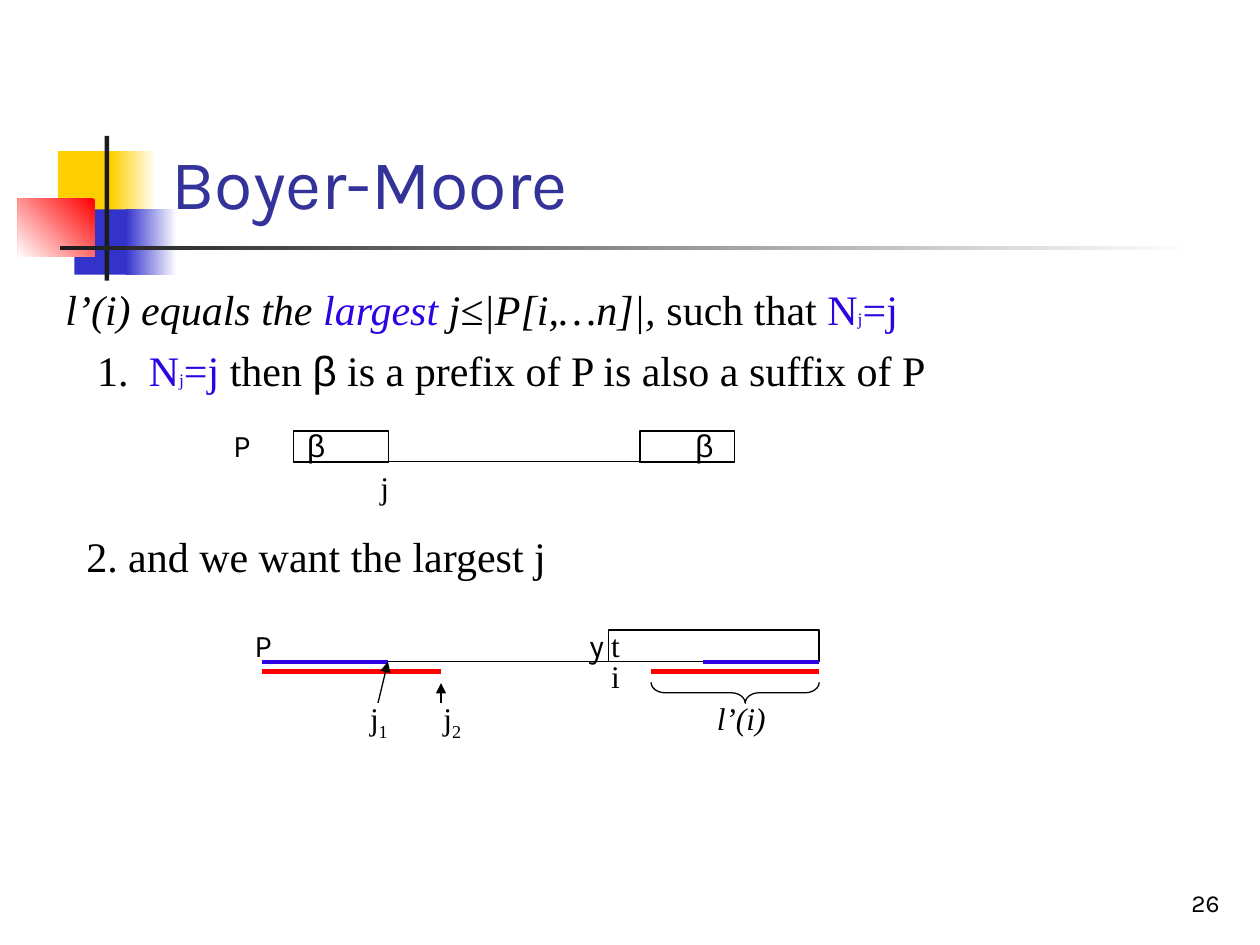
from pptx import Presentation
from pptx.dml.color import RGBColor
from pptx.enum.shapes import MSO_CONNECTOR, MSO_SHAPE as Shape
from pptx.enum.text import MSO_ANCHOR as Anchor, PP_ALIGN as Align
from pptx.oxml.ns import qn
from pptx.util import Cm, Pt
from lxml.etree import SubElement

BLACK = RGBColor(0x00, 0x00, 0x00)
WHITE = RGBColor(0xFF, 0xFF, 0xFF)
CHARCOAL = RGBColor(0x1C, 0x1C, 0x1C)
YELLOW = RGBColor(0xFF, 0xCF, 0x01)
BLUE = RGBColor(0x33, 0x33, 0xCC)
RED = RGBColor(0xFF, 0x00, 0x00)
TITLE_BLUE = RGBColor(0x33, 0x33, 0x99)
VIOLET = RGBColor(0x2D, 0x03, 0xE1)

SERIF, SANS, GREEK = "Times New Roman", "Karla", "Arial"
MARKED = {"color": VIOLET}
SMALL = {"color": VIOLET, "size": Pt(10)}


class SlideBuilder:
    def __init__(self, slide):
        self.slide = slide
        self.style = {"name": SERIF, "size": Pt(18), "color": BLACK}

    def place(self, shape, left, top, width, height):
        for side, length in zip(("left", "top", "width", "height"),
                                (left, top, width, height)):
            setattr(shape, side, Cm(length))

    def add_runs(self, paragraph, runs, **style):
        """Add (text, format) runs; each format overrides the shared style."""
        for text, own in runs:
            run = paragraph.add_run()
            run.text = text
            values = {**self.style, **style, **own}
            run.font.color.rgb = values.pop("color")
            if values.pop("subscript", False):
                run.font._element.set("baseline", "-25000")
            for key, value in values.items():
                setattr(run.font, key, value)

    def title(self, text, box, **style):
        title = self.slide.shapes.title
        self.place(title, *box)
        frame = title.text_frame
        frame.vertical_anchor = Anchor.BOTTOM
        frame.paragraphs[0].alignment = Align.LEFT
        self.add_runs(frame.paragraphs[0], [(text, {})], **style)

    def text_frame(self, box, wrap=True, anchor=Anchor.TOP):
        frame = self.slide.shapes.add_textbox(*map(Cm, box)).text_frame
        frame.word_wrap = wrap
        frame.vertical_anchor = anchor
        return frame

    def label(self, text, left, top, width, sub="", **style):
        frame = self.text_frame((left, top, width, 1.02), wrap=False)
        runs = [(text, {})] + ([(sub, {"subscript": True})] if sub else [])
        self.add_runs(frame.paragraphs[0], runs, **style)

    def body(self, box, items):
        """Fill a text box from (left margin, hang, space before, runs)."""
        frame = self.text_frame(box)
        for index, (margin, hang, before, runs) in enumerate(items):
            paragraph = frame.add_paragraph() if index else frame.paragraphs[0]
            properties = paragraph._p.get_or_add_pPr()
            properties.set("marL", str(Cm(margin)))
            properties.set("indent", str(-Cm(hang)))
            paragraph.space_before = Pt(before)
            self.add_runs(paragraph, runs, size=Pt(24))

    def page_number(self, text, box):
        paragraph = self.text_frame(box, anchor=Anchor.BOTTOM).paragraphs[0]
        paragraph.alignment = Align.RIGHT
        self.add_runs(paragraph, [(text, {})], name=SANS, size=Pt(14))

    def block(self, box, color, fade=None, angle=180):
        """Add a borderless rectangle, optionally fading to a second colour."""
        block = self.slide.shapes.add_shape(Shape.RECTANGLE, *map(Cm, box))
        block.shadow.inherit = False
        block.line.fill.background()
        if fade is None:
            block.fill.solid()
            block.fill.fore_color.rgb = color
            return
        block.fill.gradient()
        block.fill.gradient_angle = angle
        for stop, stop_color in zip(block.fill.gradient_stops, (color, fade)):
            stop.color.rgb = stop_color

    def outline(self, kind, box):
        shape = self.slide.shapes.add_shape(kind, *map(Cm, box))
        shape.shadow.inherit = False
        shape.fill.background()
        shape.line.color.rgb = BLACK
        shape.line.width = Pt(0.75)
        return shape

    def brace(self, box):
        brace = self.outline(Shape.LEFT_BRACE, box)
        brace.rotation = 270
        brace.adjustments[0] = 0.67
        brace.adjustments[1] = 0.56

    def line(self, start, end, color=BLACK, weight=0.75, arrow=False):
        line = self.slide.shapes.add_connector(
            MSO_CONNECTOR.STRAIGHT, *map(Cm, start + end))
        line.line.color.rgb = color
        line.line.width = Pt(weight)
        if arrow:
            SubElement(line.line._get_or_add_ln(), qn("a:tailEnd"), type="triangle")
        SubElement(line._element.spPr, qn("a:effectLst"))


def draw_ornament(page):
    page.block((1.17, 3.05, 1.22, 1.32), YELLOW)
    page.block((2.24, 3.05, 0.91, 1.32), WHITE, YELLOW)
    page.block((1.5, 4.22, 1.17, 1.32), BLUE)
    page.block((2.54, 4.22, 1.02, 1.32), WHITE, BLUE)
    page.block((0.36, 4.01, 1.55, 1.17), RED, WHITE, angle=225)
    page.block((2.11, 2.74, 0.09, 2.92), CHARCOAL)
    page.block((1.22, 4.95, 22.86, 0.09), WHITE, CHARCOAL)


def draw_prefix_suffix(page):
    page.line((5.92, 9.3), (14.81, 9.3))
    for box_left, beta_left in ((5.92, 5.94), (12.9, 13.77)):
        page.outline(Shape.FLOWCHART_PROCESS, (box_left, 8.69, 1.91, 0.64))
        page.label("β", beta_left, 8.46, 0.86, name=GREEK)
    page.label("P", 4.45, 8.46, 1.07, name=SANS)
    page.label("j", 7.42, 9.32, 0.69)


def draw_largest_j(page):
    pattern_y, longer_y = 13.34, 13.54
    page.line((5.51, pattern_y), (16.51, pattern_y))
    page.outline(Shape.FLOWCHART_PROCESS, (12.27, 12.7, 4.24, 0.64))
    page.label("y", 11.63, 12.5, 0.84, name=SANS)
    page.label("t", 12.07, 12.5, 0.69)
    page.label("P", 4.88, 12.5, 1.07, name=SANS)
    for left, right in ((5.28, 7.82), (14.17, 16.51)):
        page.line((left, pattern_y), (right, pattern_y), VIOLET, 2.25)
    for left, right in ((5.28, 8.89), (13.13, 16.51)):
        page.line((left, longer_y), (right, longer_y), RED, 3)
    page.label("i", 12.07, 13.13, 0.69)
    page.label("l’(i)", 14.2, 13.97, 1.5, italic=True)
    page.brace((14.61, 12.27, 0.42, 3.39))
    page.label("j", 7.21, 13.97, 0.86, sub="1")
    page.label("j", 8.69, 13.97, 0.86, sub="2")
    page.line((7.62, 14.17), (7.82, pattern_y), arrow=True)
    page.line((8.89, 14.17), (8.89, 13.77), arrow=True)


def main():
    deck = Presentation()
    deck.slide_width, deck.slide_height = Cm(25.4), Cm(19.05)
    page = SlideBuilder(deck.slides.add_slide(deck.slide_layouts[5]))
    draw_ornament(page)
    page.title("Boyer-Moore", (3.2, 0.58, 21.64, 4.06),
               name=SANS, size=Pt(40), color=TITLE_BLUE)

    italic = {"italic": True}
    n_equals_j = [("N", MARKED), ("j", SMALL), ("=j", MARKED)]
    page.body((1.07, 5.6, 23.83, 11.4), [
        (0.96, 0.96, 0, [("l’(i) equals the ", italic),
                         ("largest", {**MARKED, **italic}),
                         (" j≤|P[i,…n]|, ", italic),
                         ("such that ", {}), *n_equals_j]),
        (1.68, 1.04, 6, [("1.\t", {}), *n_equals_j, (" then ", {}),
                         ("β", {"name": GREEK}),
                         (" is a prefix of P is also a suffix of P", {})]),
        (0.42, 0, 77, [("2. and we want the largest j", {})]),
    ])
    draw_largest_j(page)
    draw_prefix_suffix(page)
    page.page_number("26", (19.56, 17.35, 5.28, 1.27))
    deck.save("out.pptx")


if __name__ == "__main__":
    main()
